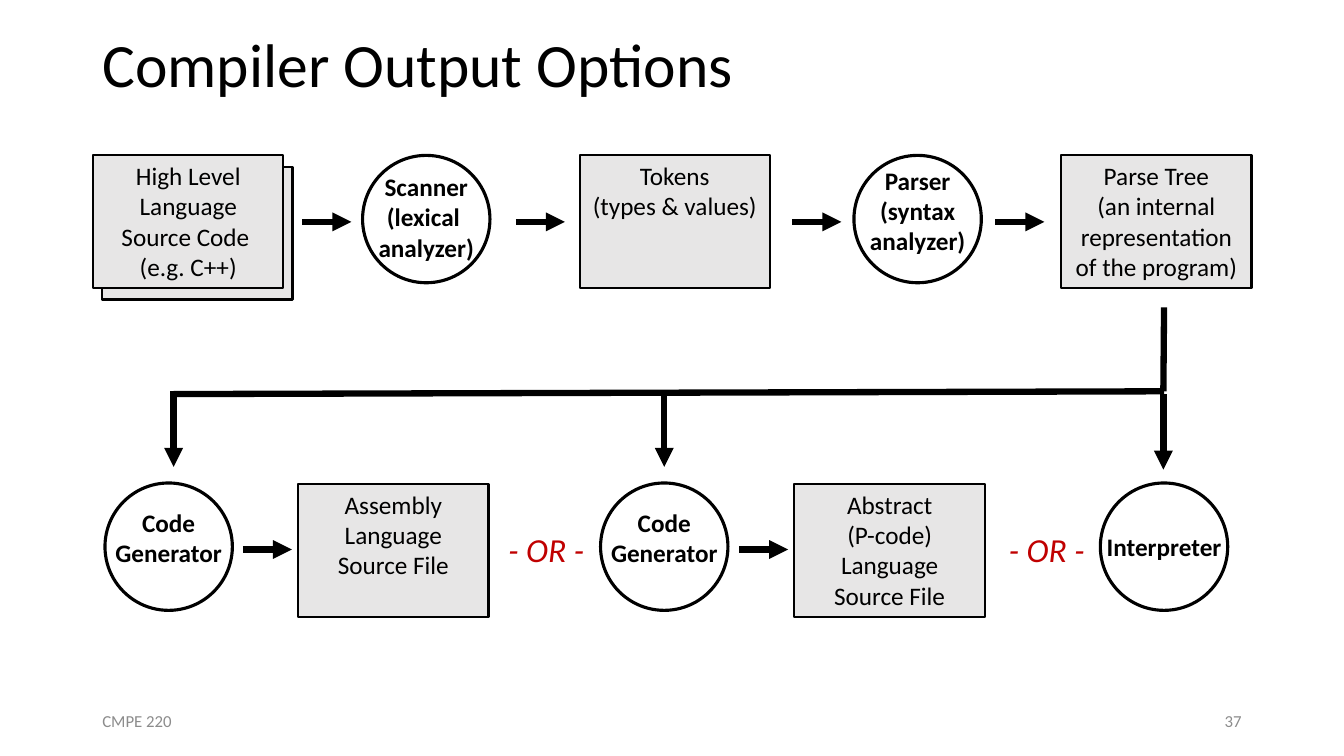
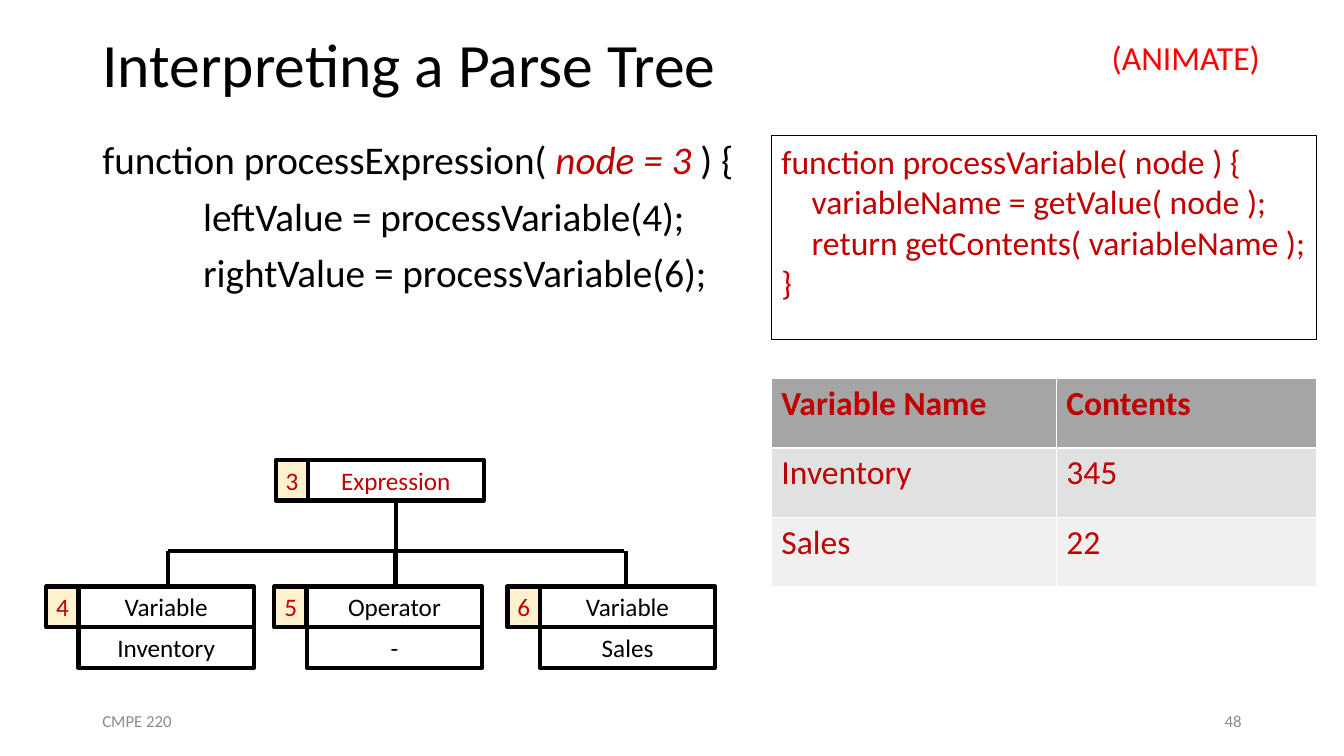
from dataclasses import dataclass

from lxml import etree
from pptx import Presentation
from pptx.dml import color as dml
from pptx.enum import shapes, text
from pptx.oxml import ns
from pptx.util import Pt

Shape = shapes.MSO_SHAPE
Align = text.PP_ALIGN
Anchor = text.MSO_ANCHOR


@dataclass(frozen=True)
class Theme:
    font: str = "Calibri"
    ink: str = "000000"
    muted: str = "8C8C8C"
    accent: str = "C00000"
    alert: str = "FF0000"
    panel: str = "E7E6E6"
    tag: str = "FFF2CC"
    rows: tuple = ("A5A5A5", "E1E1E1", "F0F0F0")
    title_size: float = 44
    body_size: float = 28
    code_size: float = 24
    label_size: float = 18
    footer_size: float = 12
    flow_line: float = 4.5
    tree_line: float = 3


THEME = Theme()
STAGE_W, STAGE_H, CIRCLE, ARROW = 136, 94.5, 91, 35
NODE_W, NODE_H, TAG_W = 125.5, 29, 23


def rgb(value):
    return dml.RGBColor.from_string(value)


def apply(target, **values):
    for name, value in values.items():
        setattr(target, name, value)


def write(frame, content, size=THEME.label_size, color=THEME.ink, align=Align.LEFT,
          anchor=Anchor.TOP, line_spacing=1.0, gap=0, **font):
    apply(frame, word_wrap=True, auto_size=text.MSO_AUTO_SIZE.NONE, vertical_anchor=anchor)
    lines = content.split("\n") if isinstance(content, str) else content
    for index, line in enumerate(lines):
        para = frame.paragraphs[0] if index == 0 else frame.add_paragraph()
        apply(para, alignment=align, line_spacing=line_spacing,
              space_before=Pt(gap if index else 0))
        spans = [(line, {})] if isinstance(line, str) else line
        for words, changes in spans:
            span = para.add_run()
            span.text = words
            values = {"name": THEME.font, "size": Pt(size), **font, **changes}
            tint = values.pop("color", color)
            apply(span.font, **values)
            span.font.color.rgb = rgb(tint)


def add_text(page, x, y, width, height, content, **style):
    box = page.shapes.add_textbox(Pt(x), Pt(y), Pt(width), Pt(height))
    write(box.text_frame, content, **style)
    return box


def add_box(page, x, y, width, height, content="", kind=Shape.RECTANGLE,
            fill=None, line=1.5, **style):
    box = page.shapes.add_shape(kind, Pt(x), Pt(y), Pt(width), Pt(height))
    box.shadow.inherit = False
    if fill:
        box.fill.solid()
        box.fill.fore_color.rgb = rgb(fill)
    else:
        box.fill.background()
    box.line.color.rgb = rgb(THEME.ink)
    box.line.width = Pt(line)
    if content:
        write(box.text_frame, content, **style)


def add_line(page, start, end, width, arrow=False):
    link = page.shapes.add_connector(
        shapes.MSO_CONNECTOR.STRAIGHT, *(Pt(value) for value in (*start, *end)))
    link.line.color.rgb = rgb(THEME.ink)
    link.line.width = Pt(width)
    properties = link._element.spPr
    if arrow:
        outline = properties.find(ns.qn("a:ln"))
        etree.SubElement(outline, ns.qn("a:tailEnd"), type="triangle")
    etree.SubElement(properties, ns.qn("a:effectLst"))


def add_stage(page, x, y, content):
    add_box(page, x, y, STAGE_W, STAGE_H, content, fill=THEME.panel, align=Align.CENTER)


def add_process(page, x, y, label_y, label):
    add_box(page, x, y, CIRCLE, CIRCLE, kind=Shape.OVAL, line=2.25)
    margin = 6
    add_text(page, x - margin, label_y, CIRCLE + 2 * margin, 51, label,
             align=Align.CENTER, bold=True)


def add_node(page, x, y, label, number=None, color=THEME.ink):
    style = {"line": THEME.tree_line, "align": Align.CENTER}
    add_box(page, x, y, NODE_W, NODE_H, label, color=color, **style)
    if number:
        add_box(page, x - TAG_W, y, TAG_W, NODE_H, number, fill=THEME.tag,
                color=THEME.accent, **style)


def add_table(page, x, y, widths, row_height, rows):
    frame = page.shapes.add_table(len(rows), len(widths), Pt(x), Pt(y),
                                  Pt(sum(widths)), Pt(row_height * len(rows)))
    table = frame.table
    for column, width in zip(table.columns, widths):
        column.width = Pt(width)
    for r, values in enumerate(rows):
        table.rows[r].height = Pt(row_height)
        for c, value in enumerate(values):
            cell = table.cell(r, c)
            cell.fill.solid()
            cell.fill.fore_color.rgb = rgb(THEME.rows[r])
            write(cell.text_frame, value, size=THEME.code_size,
                  color=THEME.accent, bold=r == 0)


def add_page(deck, title, number):
    page = deck.slides.add_slide(deck.slide_layouts[5])
    heading = page.shapes.title
    apply(heading, left=Pt(66), top=Pt(0), width=Pt(828), height=Pt(97))
    write(heading.text_frame, title, size=THEME.title_size, anchor=Anchor.MIDDLE,
          line_spacing=0.9)
    for x, label, align in ((66, "CMPE 220", Align.LEFT), (678, number, Align.RIGHT)):
        add_text(page, x, 500.5, 216, 29, label, size=THEME.footer_size,
                 color=THEME.muted, align=align, anchor=Anchor.MIDDLE)
    return page


def build_options(deck):
    page = add_page(deck, "Compiler Output Options", "37")
    top, bottom = 111, 346
    add_box(page, 73, 119.5, STAGE_W, STAGE_H, fill=THEME.panel)
    for x, y, content in (
        (66.5, top, "High Level Language Source Code \n(e.g. C++)"),
        (414, top, "Tokens\n(types & values)"),
        (758, top, "Parse Tree\n(an internal representation of the program)"),
        (213, bottom, "Assembly Language Source File"),
        (567.5, bottom, "Abstract\n(P-code)\nLanguage Source File"),
    ):
        add_stage(page, x, y, content)
    for x, y, label_y, label in (
        (259, top, 119, "Scanner\n(lexical \nanalyzer)"),
        (610, top, 114.5, "Parser\n(syntax\nanalyzer)"),
        (75, bottom - 1, 358.5, "Code\nGenerator"),
        (429, bottom - 1, 358.5, "Code\nGenerator"),
        (786, bottom - 1, 376, "Interpreter"),
    ):
        add_process(page, x, y, label_y, label)
    for y, starts in ((158.5, (216, 368.5, 566, 711)), (392.5, (173.5, 528))):
        for x in starts:
            add_line(page, (x, y), (x + ARROW, y), THEME.flow_line, arrow=True)
    add_line(page, (831.5, 219.5), (831, 279.5), THEME.flow_line)
    add_line(page, (124, 281.5), (831.5, 279.5), THEME.flow_line)
    for x, y in ((124, 279.5), (474.5, 279.5), (831, 281.5)):
        add_line(page, (x, y), (x, y + 54), THEME.flow_line, arrow=True)
    for x in (356, 713.5):
        add_text(page, x, 374.5, 72, 36, "- OR -", size=THEME.code_size,
                 color=THEME.accent, italic=True)


def build_tree(page):
    bar_y, leaf_y = 393.5, 419
    add_line(page, (283, 357), (283, bar_y), THEME.tree_line)
    add_line(page, (120, bar_y), (446, bar_y), THEME.tree_line)
    add_node(page, 220, 328.5, "Expression", "3", THEME.accent)
    for x, drop_x, number, label, value in (
        (56, 120, "4", "Variable", "Inventory"),
        (219, 282.5, "5", "Operator", "-"),
        (385.5, 447, "6", "Variable", "Sales"),
    ):
        add_line(page, (drop_x, bar_y), (drop_x, leaf_y), THEME.tree_line)
        add_node(page, x, leaf_y, label, number)
        add_node(page, x, leaf_y + NODE_H, value)


def build_interpreting(deck):
    page = add_page(deck, "Interpreting a Parse Tree", "48")
    call = [
        [("function processExpression( ", {}),
         ("node = 3 ", {"color": THEME.accent, "italic": True}),
         (") {", {})],
        "leftValue = processVariable(4);",
        "rightValue = processVariable(6);",
    ]
    body = add_text(page, 66, 97, 480, 140, call, size=THEME.body_size,
                    line_spacing=0.9, gap=10)
    for para in body.text_frame.paragraphs[1:]:
        para._p.get_or_add_pPr().set("marL", str(Pt(72)))
    build_tree(page)
    code = ("function processVariable( node ) {\n"
            "    variableName = getValue( node );\n"
            "    return getContents( variableName );\n"
            "}")
    add_box(page, 551, 97, 389.5, 145.5, code, line=1, size=THEME.code_size,
            color=THEME.accent)
    add_text(page, 787, 22.5, 137, 36, "(ANIMATE)", size=THEME.code_size,
             color=THEME.alert)
    add_table(page, 551, 270.5, (203.5, 186), 49.5,
              (("Variable Name", "Contents"), ("Inventory", "345"), ("Sales", "22")))


def main():
    deck = Presentation()
    apply(deck, slide_width=Pt(960), slide_height=Pt(540))
    build_options(deck)
    build_interpreting(deck)
    deck.save("out.pptx")


if __name__ == "__main__":
    main()
